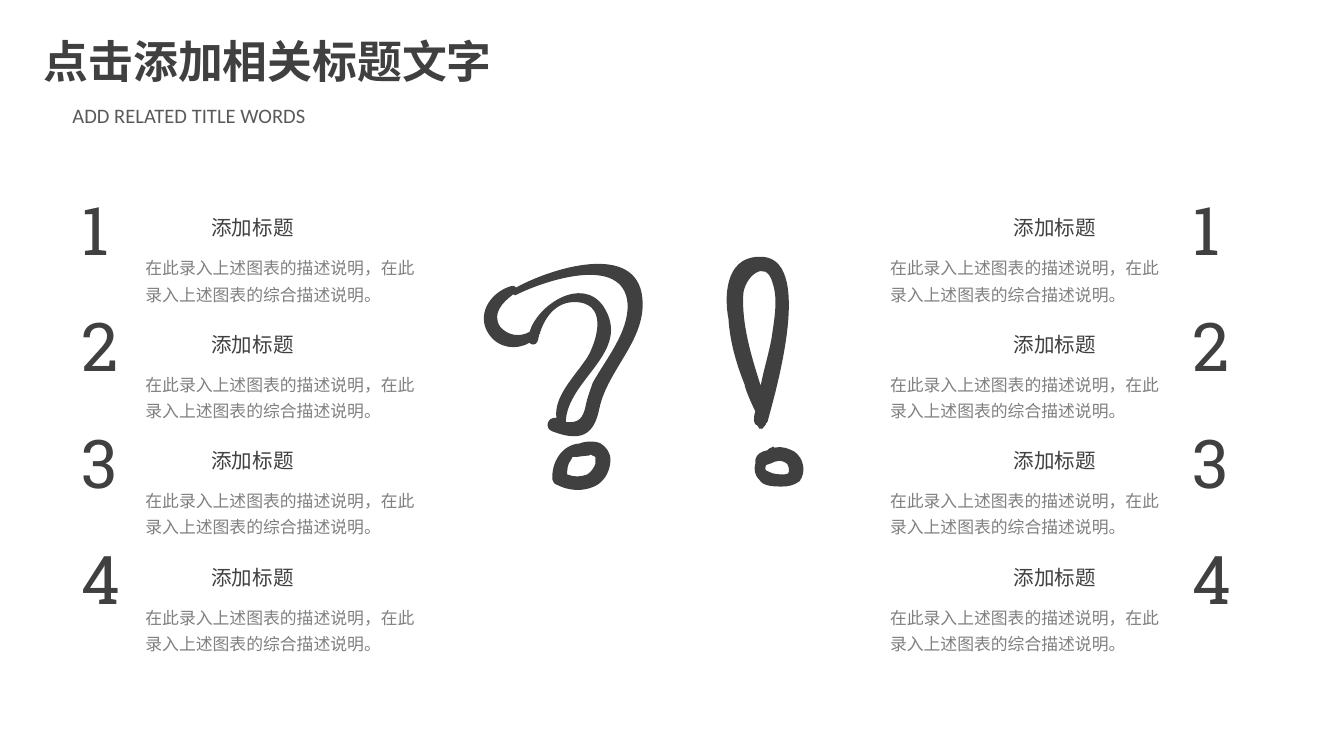
from lxml import etree
from pptx import Presentation
from pptx.dml.color import RGBColor
from pptx.enum import text
from pptx.oxml.ns import qn
from pptx.util import Pt

COLORS = {"dark": "404040", "subtitle": "595959", "body": "808080"}
CJK = "Noto Sans CJK SC"
DESCRIPTION = "在此录入上述图表的描述说明，在此录入上述图表的综合描述说明。"
ROW_PITCH = 62.4
GRID = 0.72  # points per unit of the hand-drawn outlines

# Each contour: a start point, then two controls and an end point per curve
QUESTION_HOOK = [
    [124, 43, 120, 0, 55, 21, 30, 35, 29, 34, 28, 33, 26, 34, 10, 39, 0, 56, 10, 70,
     17, 80, 30, 82, 40, 76, 41, 78, 45, 78, 46, 75, 46, 74, 47, 73, 47, 71,
     47, 70, 47, 70, 47, 70, 48, 70, 48, 69, 48, 68, 52, 56, 61, 44, 77, 46,
     99, 49, 89, 77, 83, 87, 73, 102, 58, 116, 60, 132, 53, 131, 51, 140, 57, 142,
     78, 150, 88, 145, 92, 125, 98, 96, 127, 74, 124, 43],
    [87, 106, 85, 112, 83, 117, 82, 122, 80, 133, 76, 136, 67, 135,
     68, 103, 117, 83, 95, 49, 79, 26, 46, 48, 40, 68, 33, 72, 24, 71, 18, 64,
     12, 54, 20, 46, 28, 40, 29, 41, 29, 41, 31, 40, 51, 30, 110, 10, 113, 47,
     114, 68, 97, 88, 87, 106],
]
QUESTION_DOT = [
    [93, 151, 89, 149, 82, 149, 77, 151, 64, 152, 56, 165, 57, 178,
     58, 180, 58, 181, 61, 182, 69, 186, 79, 187, 88, 183, 95, 180, 99, 173, 100, 166,
     101, 161, 99, 155, 93, 151],
    [89, 166, 88, 169, 86, 172, 83, 174, 78, 176, 73, 176, 68, 174,
     68, 171, 68, 166, 71, 163, 71, 162, 72, 161, 72, 161, 73, 161, 74, 161, 74, 161,
     77, 161, 80, 160, 84, 160, 85, 159, 86, 159, 87, 160, 88, 160, 88, 161, 89, 161,
     89, 163, 89, 165, 89, 166],
]
EXCLAMATION_STEM = [
    [25, 3, 0, 4, 0, 34, 3, 49, 4, 66, 9, 83, 15, 98, 15, 100, 19, 110, 23, 118,
     22, 121, 22, 123, 22, 125, 22, 127, 23, 128, 25, 129, 25, 130, 26, 132, 28, 131,
     29, 130, 31, 128, 31, 127, 32, 126, 32, 126, 32, 126, 37, 107, 69, 0, 25, 3],
    [14, 32, 14, 19, 31, 3, 36, 23, 40, 35, 37, 50, 35, 64, 33, 75, 29, 88, 27, 99,
     20, 77, 13, 54, 14, 32],
]
EXCLAMATION_DOT = [
    [52, 148, 48, 146, 44, 144, 38, 145, 38, 145, 37, 145, 37, 145,
     37, 144, 36, 144, 35, 145, 34, 145, 33, 146, 32, 147, 27, 148, 24, 150, 23, 154,
     23, 155, 23, 156, 23, 157, 22, 161, 22, 165, 26, 169, 29, 174, 37, 174, 43, 174,
     48, 174, 52, 173, 56, 170, 61, 163, 59, 153, 52, 148],
    [48, 163, 48, 164, 47, 165, 45, 165, 40, 165, 37, 165, 33, 163,
     30, 162, 30, 161, 31, 158, 36, 157, 39, 153, 45, 156, 48, 157, 48, 161, 48, 163],
]


def add_text(parent, words, left, top, width, height, size, color, font=CJK,
             bold=False, align=None, spacing=None, wrap=True, side=7.2):
    box = parent.shapes.add_textbox(Pt(left), Pt(top), Pt(width), Pt(height))
    frame = box.text_frame
    frame.word_wrap = wrap
    frame.auto_size = text.MSO_AUTO_SIZE.SHAPE_TO_FIT_TEXT
    frame.margin_left = frame.margin_right = Pt(side)
    para = frame.paragraphs[0]
    para.text = words
    para.alignment = align
    para.line_spacing = spacing
    para.font.size = Pt(size)
    para.font.bold = bold
    para.font.name = font
    para.font.color.rgb = RGBColor.from_string(COLORS[color])
    # East Asian typeface
    defaults = para._p.pPr.find(qn("a:defRPr"))
    etree.SubElement(defaults, qn("a:ea"), typeface=font)


def add_header(page, left, top):
    add_text(page, "点击添加相关标题文字", left, top, 256.3, 36.7, 24, "dark",
             "Calibri", bold=True, side=7.9)
    add_text(page, "ADD RELATED TITLE WORDS", left + 15.4, top + 37, 203.8, 20.9, 11,
             "subtitle", "Calibri", align=text.PP_ALIGN.JUSTIFY, side=7.9)


def add_list(page, left, top, heading_shift, number_shift):
    """Four numbered entries; shifts are measured from the description's left."""
    for row in range(4):
        y = top + row * ROW_PITCH
        entry = page.shapes.add_group_shape()
        add_text(entry, DESCRIPTION, left, y + 34.2, 159.84, 34, 9, "body", spacing=1.3)
        add_text(entry, "添加标题", left + heading_shift, y + 14.6, 59, 20.9, 11, "dark",
                 align=text.PP_ALIGN.CENTER, wrap=False)
        add_text(page, str(row + 1), left + number_shift, y, 33.8, 51, 36, "dark",
                 "Roboto Slab")


def bend_segments(stroke):
    """Join every three line segments into one cubic curve."""
    lines = list(stroke._element.iter(qn("a:lnTo")))
    for first in range(0, len(lines), 3):
        curve = etree.Element(qn("a:cubicBezTo"))
        lines[first].addprevious(curve)
        for line in lines[first:first + 3]:
            curve.append(line[0])
            line.getparent().remove(line)


def add_mark(page, left, top, parts):
    mark = page.shapes.add_group_shape()
    for contours in parts:
        outer, hole = [[(Pt(x * GRID), Pt(y * GRID)) for x, y in zip(line[::2], line[1::2])]
                       for line in contours]
        builder = mark.shapes.build_freeform(*outer[0], scale=1.0)
        builder.add_line_segments(outer[1:], close=True)
        builder.move_to(*hole[0])
        builder.add_line_segments(hole[1:], close=True)
        stroke = builder.convert_to_shape(Pt(left), Pt(top))
        bend_segments(stroke)
        stroke.shadow.inherit = False
        stroke.fill.solid()
        stroke.fill.fore_color.rgb = RGBColor.from_string(COLORS["dark"])
        stroke.line.fill.background()


def main():
    deck = Presentation()
    deck.slide_width, deck.slide_height = Pt(720), Pt(405)
    page = deck.slides.add_slide(deck.slide_layouts[6])
    add_header(page, 15.5, 14.4)
    # Question and exclamation marks
    add_mark(page, 254.9, 128.9, [QUESTION_HOOK, QUESTION_DOT])
    add_mark(page, 388.1, 135.4, [EXCLAMATION_STEM, EXCLAMATION_DOT])
    # Left and right lists
    add_list(page, 70.8, 97.2, heading_shift=35, number_shift=-34.1)
    add_list(page, 469.7, 97.2, heading_shift=66, number_shift=162.2)
    deck.save("out.pptx")


if __name__ == "__main__":
    main()
